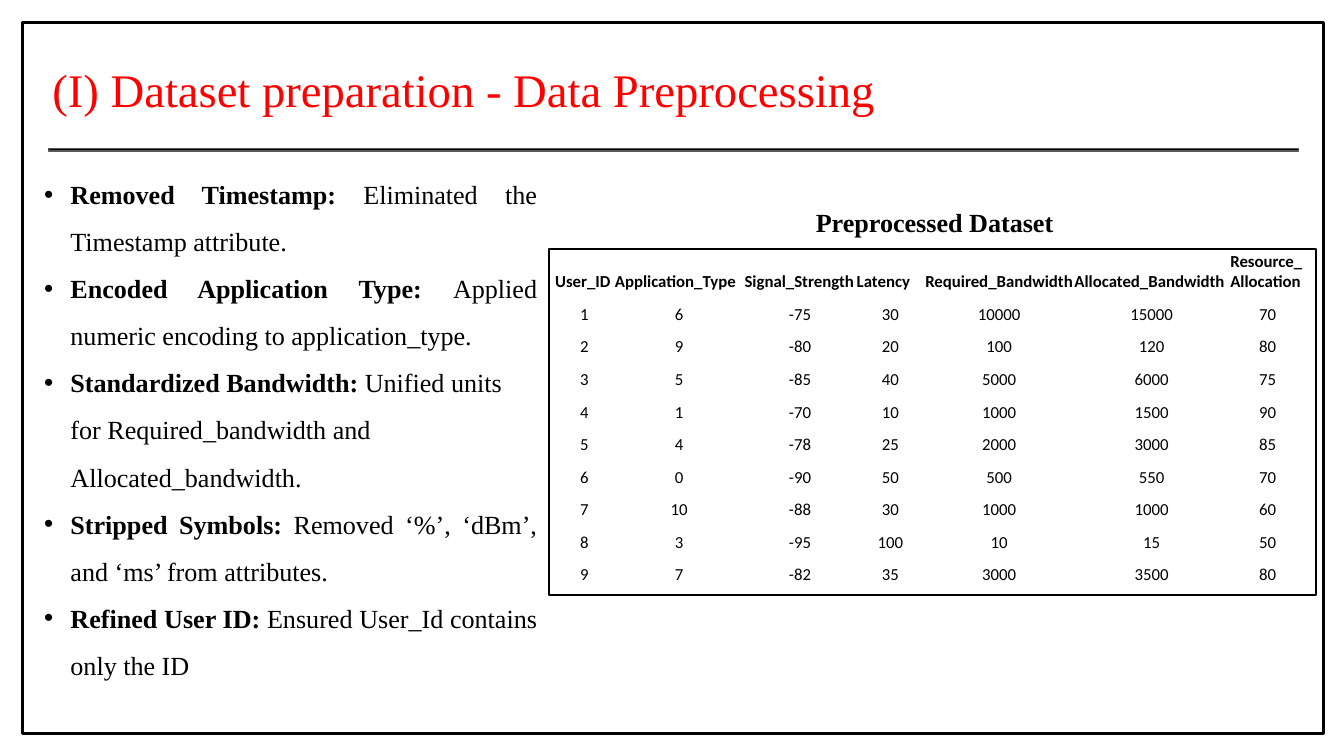
from dataclasses import dataclass

from lxml.etree import SubElement
from pptx import Presentation
from pptx.dml.color import RGBColor as RGB
from pptx.enum.shapes import MSO_SHAPE as Shape
from pptx.enum.text import MSO_ANCHOR as Anchor, MSO_AUTO_SIZE as Fit, PP_ALIGN as Align
from pptx.oxml.ns import qn
from pptx.util import Inches, Pt


@dataclass(frozen=True)
class Theme:
    serif: str = "Times New Roman"
    sans: str = "Calibri"
    black: RGB = RGB(0, 0, 0)
    white: RGB = RGB(255, 255, 255)
    red: RGB = RGB(255, 0, 0)
    gray: RGB = RGB(0x59, 0x59, 0x59)
    title: int = 50
    body: int = 28
    cell: int = 18


THEME = Theme()
WIDTH, HEIGHT = Inches(20), Inches(11.25)

STEPS = [
    ("Removed Timestamp: ", "Eliminated the Timestamp attribute.", Align.JUSTIFY),
    ("Encoded Application Type: ", "Applied numeric encoding to application_type.", Align.JUSTIFY),
    ("Standardized Bandwidth: ",
     "Unified units for Required_bandwidth and Allocated_bandwidth.", Align.LEFT),
    ("Stripped Symbols: ", "Removed ‘%’, ‘dBm’, and ‘ms’ from attributes.", Align.JUSTIFY),
    ("Refined User ID: ", "Ensured User_Id contains only the ID", Align.JUSTIFY),
]
HEADERS = ["User_ID", "Application_Type", "Signal_Strength", "Latency",
           "Required_Bandwidth", "Allocated_Bandwidth", "Resource_Allocation"]
RECORDS = [
    (1, 6, -75, 30, 10000, 15000, 70),
    (2, 9, -80, 20, 100, 120, 80),
    (3, 5, -85, 40, 5000, 6000, 75),
    (4, 1, -70, 10, 1000, 1500, 90),
    (5, 4, -78, 25, 2000, 3000, 85),
    (6, 0, -90, 50, 500, 550, 70),
    (7, 10, -88, 30, 1000, 1000, 60),
    (8, 3, -95, 100, 10, 15, 50),
    (9, 7, -82, 35, 3000, 3500, 80),
]
COLUMN_SHARES = [4.45, 9.65, 8.35, 5.1, 11.1, 11.6, 5.65]
HEADER_SHARE, ROW_SHARE = 6.93, 4.31


def across(share):
    return round(WIDTH * share / 100)


def down(share):
    return round(HEIGHT * share / 100)


def place(x, y, w, h):
    return across(x), down(y), across(w), down(h)


def add_text(p, text, size=THEME.body, font=THEME.serif, color=THEME.black, bold=False):
    r = p.add_run()
    r.text = text
    r.font.size, r.font.name, r.font.bold = Pt(size), font, bold
    r.font.color.rgb = color


def add_box(s, area, margins=(0, 0), anchor=Anchor.TOP):
    tf = s.shapes.add_textbox(*area).text_frame
    tf.word_wrap = True
    tf.auto_size = Fit.SHAPE_TO_FIT_TEXT
    tf.vertical_anchor = anchor
    tf.margin_left = tf.margin_right = Inches(margins[0])
    tf.margin_top = tf.margin_bottom = Inches(margins[1])
    return tf


def indent(p, left, first=0, bullet=None):
    p.level = 1
    p.line_spacing = 1.5
    pPr = p._p.get_or_add_pPr()
    pPr.set("marL", str(Inches(left)))
    pPr.set("indent", str(Inches(first)))
    if bullet:
        SubElement(pPr, qn("a:buFont")).set("typeface", "Arial")
        SubElement(pPr, qn("a:buChar")).set("char", bullet)


def add_rect(s, area, line, width, fill=None):
    sp = s.shapes.add_shape(Shape.RECTANGLE, *area)
    sp.shadow.inherit = False
    sp.line.color.rgb, sp.line.width = line, Pt(width)
    if fill is None:
        sp.fill.background()
    else:
        sp.fill.solid()
        sp.fill.fore_color.rgb = fill


def fill_cell(cell, text, align, bold):
    cell.fill.solid()
    cell.fill.fore_color.rgb = THEME.white
    cell.vertical_anchor = Anchor.BOTTOM
    cell.margin_left = cell.margin_right = cell.margin_top = Inches(0.01)
    cell.margin_bottom = 0
    p = cell.text_frame.paragraphs[0]
    p.alignment = align
    add_text(p, text, size=THEME.cell, font=THEME.sans, bold=bold)


def add_dataset(s, x, y):
    rows = [HEADERS, *RECORDS]
    row_shares = [HEADER_SHARE] + [ROW_SHARE] * len(RECORDS)
    area = place(x, y, sum(COLUMN_SHARES), sum(row_shares))
    table = s.shapes.add_table(len(rows), len(HEADERS), *area).table
    table.first_row = table.horz_banding = False
    for column, share in zip(table.columns, COLUMN_SHARES):
        column.width = across(share)
    for i, (row, values) in enumerate(zip(table.rows, rows)):
        row.height = down(row_shares[i])
        align = Align.CENTER if i else Align.LEFT
        for cell, value in zip(row.cells, values):
            fill_cell(cell, str(value), align, bold=i == 0)


def add_steps(s, area):
    tf = add_box(s, area, margins=(0.1, 0.05), anchor=Anchor.MIDDLE)
    for i, (label, detail, align) in enumerate(STEPS):
        p = tf.add_paragraph() if i else tf.paragraphs[0]
        p.alignment = align
        indent(p, 0.78, -0.39, bullet="•")
        add_text(p, label, bold=True)
        add_text(p, detail)


def main():
    prs = Presentation()
    prs.slide_width, prs.slide_height = WIDTH, HEIGHT
    s = prs.slides.add_slide(prs.slide_layouts[6])

    title = add_box(s, place(3.9, 7.73, 92.2, 7.29)).paragraphs[0]
    title.line_spacing = Pt(62.2)
    add_text(title, "(I) Dataset preparation - Data Preprocessing",
             size=THEME.title, color=THEME.red)
    add_rect(s, place(3.6, 19.64, 93, 0.36), THEME.gray, 1.5, fill=THEME.black)
    add_rect(s, place(1.7, 2.93, 96.75, 94.13), THEME.black, 3)

    add_dataset(s, 41.25, 31.73)
    heading = add_box(s, place(58.75, 25.24, 32.7, 11.82)).paragraphs[0]
    indent(heading, 0.39)
    add_text(heading, "Preprocessed Dataset", bold=True)
    add_steps(s, place(0.85, 21.16, 39.6, 69.24))
    add_rect(s, place(40.85, 32.89, 57.1, 45.78), THEME.black, 2)

    prs.save("out.pptx")


if __name__ == "__main__":
    main()
